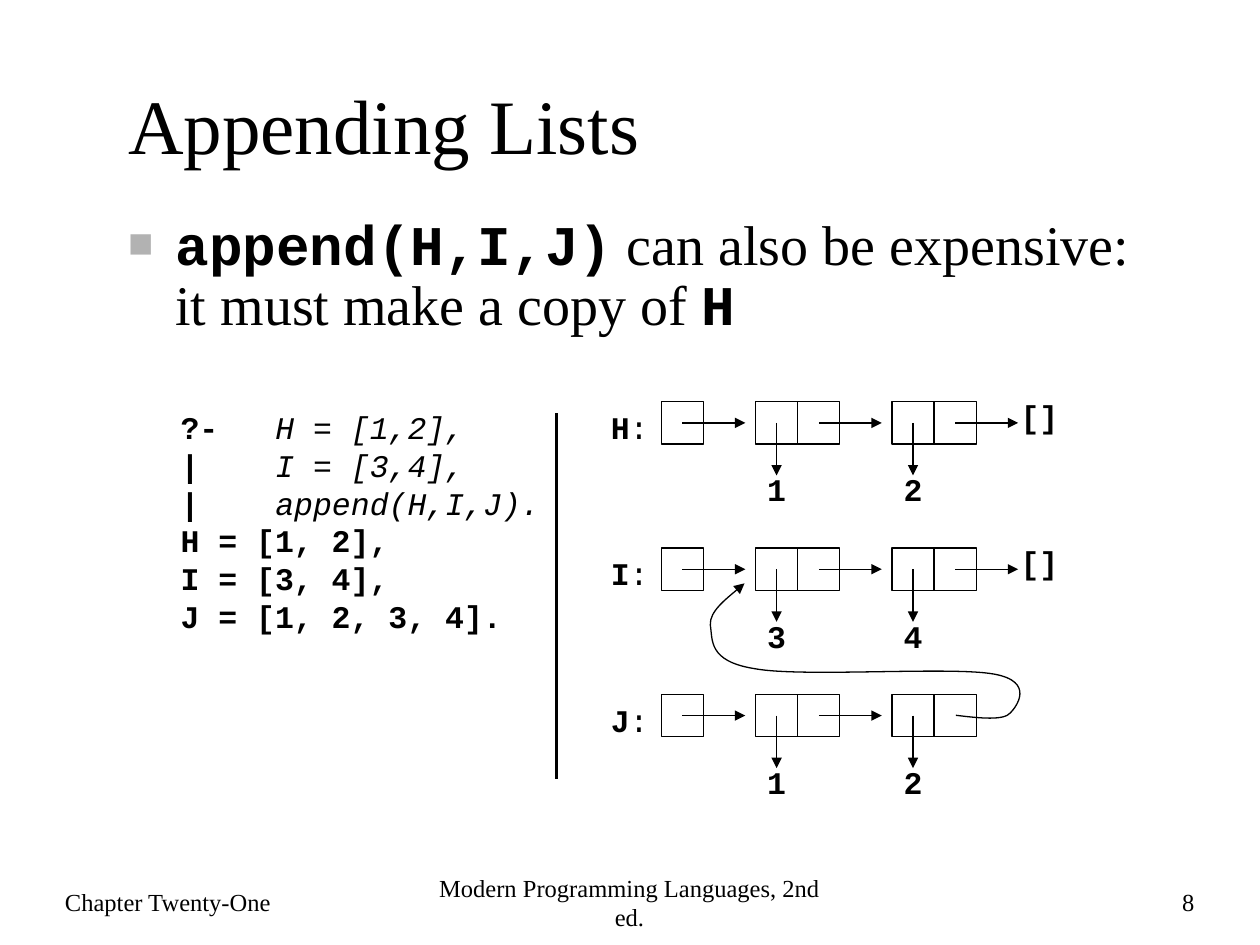
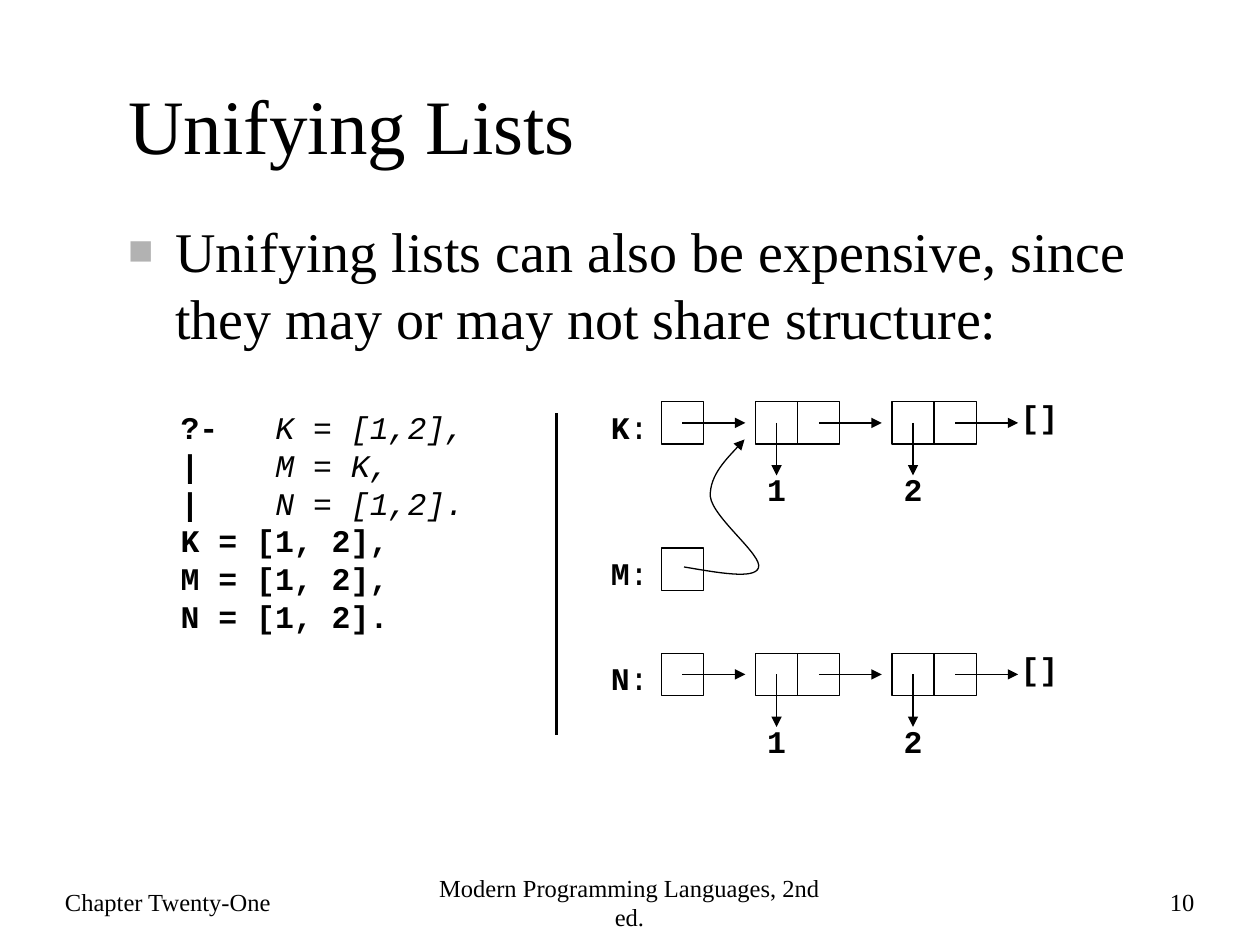
from lxml.etree import SubElement
from pptx import Presentation
from pptx.dml.color import RGBColor
from pptx.enum.shapes import MSO_CONNECTOR, MSO_SHAPE
from pptx.enum.text import MSO_ANCHOR, MSO_AUTO_SIZE, PP_ALIGN
from pptx.oxml.ns import qn
from pptx.util import Cm, Pt

INK, MARK = "000000", "B2B2B2"
SERIF, MONO = "Times New Roman", "Courier New"
CELL = 0.85    # side of a list cell
FIRST = 1.9    # from a variable's cell to its first pair
STEP = 2.75    # from one pair to the next
REACH = 1.27   # length of a pointer
DROP = 1.06    # length of a pointer to a value

# Boxes are left, top, width, height in cm
TITLE = (2.33, 0.95, 21.6, 3.07)
BODY = (2.33, 4.24, 21.6, 2.75)
CODE = (3.39, 8.1, 9.32, 4.87)
GRAPH = (13.33, 8.1, 8.26, 7.45)
RULE = (11.22, 8.33)
FEET = [
    ((1.06, 17.55, 5.72, 1.27), "Chapter Twenty-One", PP_ALIGN.LEFT),
    ((8.46, 17.55, 8.46, 1.27), "Modern Programming Languages, 2nd ed.",
     PP_ALIGN.CENTER),
]
PAGE = (19.05, 17.55, 5.28, 1.27)


def color(code):
    return RGBColor.from_string(code)


def cms(*sizes):
    return [Cm(size) for size in sizes]


def style(para, size, name=SERIF):
    font = para.font
    font.size, font.name = Pt(size), name
    font.color.rgb = color(INK)


def add_run(para, text, bold=None, slant=None):
    run = para.add_run()
    run.text = text
    run.font.bold, run.font.italic = bold, slant
    return run


def place(shape, box):
    shape.left, shape.top, shape.width, shape.height = cms(*box)


def text_box(slide, box):
    frame = slide.shapes.add_textbox(*cms(*box)).text_frame
    frame.word_wrap = True
    return frame


# Lines and shapes
def ink_line(shape, width=0.75, arrow=False):
    shape.line.color.rgb = color(INK)
    shape.line.width = Pt(width)
    if arrow:
        line = shape.element.spPr.find(qn("a:ln"))
        SubElement(line, qn("a:tailEnd"), type="triangle")


def add_line(slide, x, y, dx, dy, width=0.75, arrow=True):
    line = slide.shapes.add_connector(
        MSO_CONNECTOR.STRAIGHT, *cms(x, y, x + dx, y + dy))
    ink_line(line, width, arrow)
    SubElement(line.element.spPr, qn("a:effectLst"))


def add_cell(slide, x, y):
    cell = slide.shapes.add_shape(MSO_SHAPE.RECTANGLE,
                                  *cms(x, y, CELL, CELL))
    cell.shadow.inherit = False
    cell.fill.background()
    ink_line(cell)


def add_curve(slide, left, top, points):
    """Bezier arrow: a start, then three points for each section."""
    start, *rest = [cms(left + x, top + y) for x, y in points]
    form = slide.shapes.build_freeform(*start)
    form.add_line_segments(rest, close=False)
    curve = form.convert_to_shape()
    curve.shadow.inherit = False
    curve.fill.background()
    ink_line(curve, arrow=True)
    steps = list(curve.element.iter(qn("a:lnTo")))
    track = steps[0].getparent()
    for i in range(0, len(steps), 3):
        bend = SubElement(track, qn("a:cubicBezTo"))
        for step in steps[i:i + 3]:
            bend.append(step[0])
            track.remove(step)


# Linked lists
def add_label(slide, x, y, text, tail=""):
    frame = text_box(slide, (x, y, 1.27, 1.02))
    frame.margin_left = frame.margin_right = 0
    para = frame.paragraphs[0]
    para.alignment = PP_ALIGN.CENTER
    style(para, 18, MONO)
    add_run(para, text, True)
    if tail:
        add_run(para, tail, False)


def add_list(slide, x, y, name, values, closed):
    """Draw a variable's cell and the chain of pairs it points to."""
    half = CELL / 2
    add_label(slide, x - 1.27, y, name, ":")
    add_cell(slide, x, y)
    if values:
        add_line(slide, x + half, y + half, REACH, 0)
    for i, value in enumerate(values):
        pair = x + FIRST + i * STEP
        for side in (pair, pair + CELL):
            add_cell(slide, side, y)
        add_line(slide, pair + half, y + half, 0, DROP)
        add_label(slide, pair - 0.21, y + 1.26, value)
        if closed or i < len(values) - 1:
            add_line(slide, pair + CELL + half, y + half, REACH, 0)
    if closed:
        add_label(slide, x + 6.99, y - 0.22, "[]")


def add_graph(slide, box, rows, curve):
    left, top = box[:2]
    for drop, name, values, closed in rows:
        add_list(slide, left, top + drop, name, values, closed)
    add_curve(slide, left, top, curve)


# Text regions
def add_title(slide, box, text):
    title = slide.shapes.title
    place(title, box)
    frame = title.text_frame
    frame.text = text
    frame.auto_size = MSO_AUTO_SIZE.NONE
    frame.vertical_anchor = MSO_ANCHOR.MIDDLE
    para = frame.paragraphs[0]
    para.alignment = PP_ALIGN.LEFT
    style(para, 44)


def add_body(slide, box, parts, space):
    body = slide.placeholders[1]
    place(body, box)
    frame = body.text_frame
    frame.auto_size = MSO_AUTO_SIZE.NONE
    para = frame.paragraphs[0]
    props = para._p.get_or_add_pPr()
    tint = SubElement(props, qn("a:buClr"))
    SubElement(tint, qn("a:srgbClr"), val=MARK)
    SubElement(props, qn("a:buSzPct"), val="75000")
    SubElement(props, qn("a:buFont"), typeface=SERIF)
    SubElement(props, qn("a:buChar"), char="■")
    para.line_spacing = space
    style(para, 32)
    for text, code in parts:
        run = add_run(para, text, code)
        if code:
            run.font.name = MONO


def add_code(slide, box, asks, replies):
    frame = text_box(slide, box)
    lines = [("?-" if i == 0 else "|", ask) for i, ask in enumerate(asks)]
    lines += [(reply, "") for reply in replies]
    for i, (head, ask) in enumerate(lines):
        para = frame.add_paragraph() if i else frame.paragraphs[0]
        if ask:
            tabs = SubElement(para._p.get_or_add_pPr(), qn("a:tabLst"))
            SubElement(tabs, qn("a:tab"), pos=str(Cm(1.91)), algn="l")
        style(para, 18, MONO)
        add_run(para, head, True)
        if ask:
            add_run(para, "\t" + ask, False, True)


def add_feet(slide, number):
    for box, text, align in FEET + [(PAGE, number, PP_ALIGN.RIGHT)]:
        frame = text_box(slide, box)
        frame.text = text
        frame.vertical_anchor = MSO_ANCHOR.MIDDLE
        para = frame.paragraphs[0]
        para.alignment = align
        style(para, 14)


def add_page(deck, page):
    slide = deck.slides.add_slide(deck.slide_layouts[1])
    add_title(slide, TITLE, page["title"])
    add_body(slide, BODY, page["body"], page["space"])
    add_feet(slide, page["number"])
    add_code(slide, CODE, page["asks"], page["replies"])
    add_line(slide, *RULE, 0, page["rule"], 1.5, False)
    add_graph(slide, GRAPH, page["rows"], page["curve"])


PAGES = [
    {
        "title": "Appending Lists",
        "number": "8",
        "body": [("append(H,I,J)", True),
                 (" can also be expensive: it must make a copy of ", False),
                 ("H", True)],
        "space": 0.9,
        "asks": ["H = [1,2],", "I = [3,4],", "append(H,I,J)."],
        "replies": ["H = [1, 2],", "I = [3, 4],", "J = [1, 2, 3, 4]."],
        "rule": 7.37,
        "rows": [(0, "H", "12", True), (2.95, "I", "34", True),
                 (5.9, "J", "12", False)],
        "curve": [(5.94, 6.32),
                  (6.43, 6.38), (6.91, 6.43), (7.04, 6.27),
                  (7.16, 6.15), (7.54, 5.64), (6.71, 5.49),
                  (5.84, 5.33), (2.84, 5.56), (1.88, 5.38),
                  (0.94, 5.23), (1.04, 4.8), (0.99, 4.5),
                  (0.97, 4.22), (1.68, 3.66), (1.68, 3.66)],
    },
    {
        "title": "Unifying Lists",
        "number": "10",
        "body": [("Unifying lists can also be expensive, since they may "
                  "or may not share structure:", False)],
        "space": 1.0,
        "asks": ["K = [1,2],", "M = K,", "N = [1,2]."],
        "replies": ["K = [1, 2],", "M = [1, 2],", "N = [1, 2]."],
        "rule": 6.48,
        "rows": [(0, "K", "12", True), (2.95, "M", "", False),
                 (5.07, "N", "12", True)],
        "curve": [(0.46, 3.33),
                  (1.17, 3.45), (1.88, 3.58), (1.96, 3.35),
                  (2.06, 3.1), (1.04, 2.34), (0.99, 1.91),
                  (0.97, 1.47), (1.68, 0.76), (1.68, 0.76)],
    },
]


def main():
    deck = Presentation()
    deck.slide_width, deck.slide_height = cms(25.4, 19.05)
    for page in PAGES:
        add_page(deck, page)
    deck.save("out.pptx")


if __name__ == "__main__":
    main()
